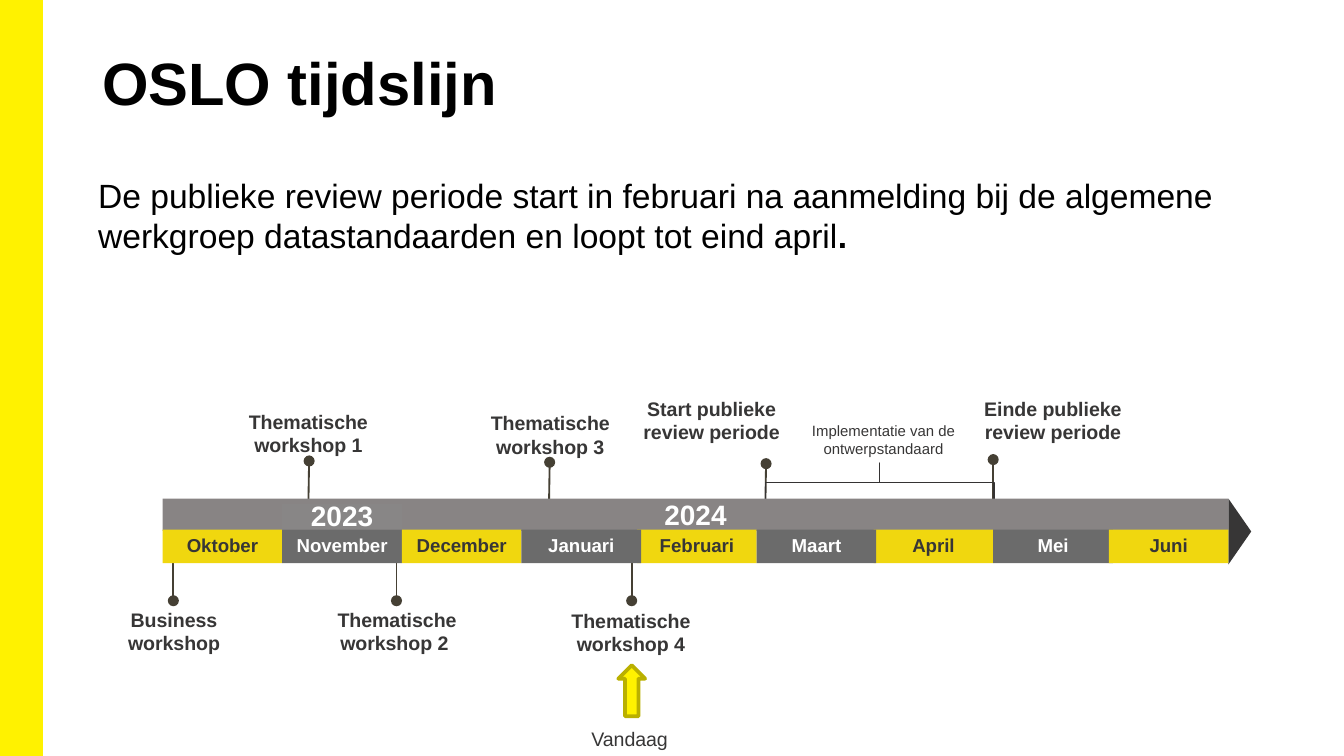
from lxml import etree
from pptx import Presentation
from pptx.dml.color import RGBColor
from pptx.enum.shapes import MSO_CONNECTOR, MSO_SHAPE
from pptx.enum.text import MSO_ANCHOR, PP_ALIGN
from pptx.oxml.ns import qn
from pptx.util import Inches, Pt

RECTANGLE = MSO_SHAPE.RECTANGLE
TRIANGLE = MSO_SHAPE.ISOSCELES_TRIANGLE
BRACE = MSO_SHAPE.LEFT_BRACE
DOWN_ARROW = MSO_SHAPE.DOWN_ARROW
STRAIGHT = MSO_CONNECTOR.STRAIGHT
LEFT, CENTER = PP_ALIGN.LEFT, PP_ALIGN.CENTER
TOP, MIDDLE = MSO_ANCHOR.TOP, MSO_ANCHOR.MIDDLE

BLACK = RGBColor(0x00, 0x00, 0x00)
WHITE = RGBColor(0xFF, 0xFF, 0xFF)
YELLOW = RGBColor(0xFF, 0xF2, 0x00)
OLIVE = RGBColor(0xBA, 0xB0, 0x00)
GOLD = RGBColor(0xF0, 0xD7, 0x0F)
CHARCOAL = RGBColor(0x37, 0x36, 0x36)
BRACE_GRAY = RGBColor(0x35, 0x33, 0x33)
STEM = RGBColor(0x45, 0x40, 0x34)
MONTH_GRAY = RGBColor(0x6B, 0x6B, 0x6B)
BAR_GRAY = RGBColor(0x88, 0x84, 0x84)
YEAR_GRAY = RGBColor(0x88, 0x86, 0x86)

FONT = "Arial"
PAGE_WIDTH = 10
PAGE_HEIGHT = PAGE_WIDTH * 9 / 16
MONTH_WIDTH = 0.89
LABEL_WIDTH = 1.21
MONTH_INSETS = (0.08, 0.08, 0.08, 0.1)

# Month and left edge, from back to front where neighbours overlap
MONTHS = [
    ("Oktober", 0, GOLD), ("November", 0.89, MONTH_GRAY),
    ("December", 1.78, GOLD), ("Februari", 3.53, GOLD),
    ("April", 5.29, GOLD), ("Mei", 6.18, MONTH_GRAY),
    ("Juni", 7.04, GOLD), ("Januari", 2.67, MONTH_GRAY),
    ("Maart", 4.42, MONTH_GRAY),
]

# Label, its left and top, dot position, foot position
EVENTS = [
    ("Thematische workshop 1", (0.48, -0.66), (1.09, -0.28), (1.08, 0.33)),
    ("Thematische workshop 3", (2.28, -0.65), (2.88, -0.27), (2.87, 0.34)),
    ("Start publieke review periode", (3.48, -0.76), (4.49, -0.26), (4.48, 0.35)),
    ("Einde publieke review periode", (6.02, -0.76), (6.18, -0.29), (6.18, 0.4)),
    ("Business workshop", (-0.52, 0.81), (0.08, 0.76), (0.08, 0.48)),
    ("Thematische workshop 2 ", (1.14, 0.81), (1.74, 0.76), (1.74, 0.34)),
    ("Thematische workshop 4", (2.88, 0.82), (3.49, 0.76), (3.49, 0.34)),
]


def write_text(shape, *parts, size, color, align=CENTER, anchor=TOP,
               insets=(0, 0, 0, 0)):
    """Fill the shape with one paragraph of (text, bold) parts."""
    frame = shape.text_frame
    frame.word_wrap = True
    frame.vertical_anchor = anchor
    (frame.margin_left, frame.margin_top,
     frame.margin_right, frame.margin_bottom) = map(Inches, insets)
    para = frame.paragraphs[0]
    para.alignment = align
    for text, bold in parts:
        span = para.add_run()
        span.text = text
        span.font.name = FONT
        span.font.size = Pt(size)
        span.font.bold = bold
        span.font.color.rgb = color


def add_text(page, box, *parts, **text_format):
    shape = page.shapes.add_textbox(*map(Inches, box))
    write_text(shape, *parts, **text_format)


def add_figure(page, kind, box, fill=None, line=None, line_width=1):
    shape = page.shapes.add_shape(kind, *map(Inches, box))
    shape.shadow.inherit = False
    if fill is None:
        shape.fill.background()
    else:
        shape.fill.solid()
        shape.fill.fore_color.rgb = fill
    if line is None:
        shape.line.fill.background()
    else:
        shape.line.color.rgb = line
        shape.line.width = Pt(line_width)
    return shape


def add_stem(page, dot, foot):
    """Draw a line with a round dot at its first end."""
    stem = page.shapes.add_connector(STRAIGHT, *map(Inches, dot + foot))
    stem.line.color.rgb = STEM
    stem.line.width = Pt(1)
    outline = stem._element.spPr.find(qn("a:ln"))
    etree.SubElement(outline, qn("a:headEnd"), type="oval")
    etree.SubElement(stem._element.spPr, qn("a:effectLst"))


def add_heading(page, left, top, width):
    insets = (0.07, 0.04, 0.07, 0.04)
    add_text(page, (left + 0.03, top, width, 0.81), ("OSLO tijdslijn", True),
             size=32, color=BLACK, align=LEFT, insets=insets)
    add_text(page, (left, top + 0.96, width, 0.81),
             ("De publieke review periode start in februari na aanmelding bij "
              "de algemene werkgroep datastandaarden en loopt tot eind april",
              False), (".", True),
             size=18, color=BLACK, align=LEFT, insets=insets)


def add_timeline(page, left, top, width):
    def at(x, y, *size):
        return (left + x, top + y, *size)

    for label, place, dot, foot in EVENTS:
        add_stem(page, at(*dot), at(*foot))
        add_text(page, at(*place, LABEL_WIDTH, 0.42), (label, True),
                 size=10.5, color=CHARCOAL)

    brace = add_figure(page, BRACE, at(5.19, -0.97, 0.29, 1.7),
                       line=BRACE_GRAY, line_width=0.75)
    brace.rotation = 90
    brace.adjustments[0] = 0
    brace.adjustments[1] = 0.5
    add_text(page, at(4.7, -0.57, 1.33, 0.42),
             ("Implementatie van de ontwerpstandaard", False),
             size=8, color=CHARCOAL)

    tip = add_figure(page, TRIANGLE, at(width - 0.16, 0.16, 0.49, 0.17), CHARCOAL)
    tip.rotation = 90
    bar = add_figure(page, RECTANGLE, at(0, 0, width, 0.24), BAR_GRAY)
    write_text(bar, ("2024", True), size=15, color=WHITE, anchor=MIDDLE)
    for month, x, fill in MONTHS:
        cell = add_figure(page, RECTANGLE, at(x, 0.23, MONTH_WIDTH, 0.25), fill)
        write_text(cell, (month, True), size=10, anchor=MIDDLE,
                   color=CHARCOAL if fill == GOLD else WHITE, insets=MONTH_INSETS)
    year = add_figure(page, RECTANGLE, at(0.89, 0.04, MONTH_WIDTH, 0.19), YEAR_GRAY)
    write_text(year, ("2023", True), size=15, color=WHITE, anchor=MIDDLE,
               insets=MONTH_INSETS)

    arrow = add_figure(page, DOWN_ARROW, at(3.39, 1.24, 0.2, 0.38), YELLOW, OLIVE, 2)
    arrow.rotation = 180
    add_text(page, at(2.87, 1.7, LABEL_WIDTH, 0.26), ("Vandaag", False),
             size=10.5, color=CHARCOAL)


def main():
    deck = Presentation()
    deck.slide_width, deck.slide_height = Inches(PAGE_WIDTH), Inches(PAGE_HEIGHT)
    page = deck.slides.add_slide(deck.slide_layouts[6])
    add_figure(page, RECTANGLE, (0, 0, 0.31, PAGE_HEIGHT), YELLOW, YELLOW)
    add_heading(page, 0.66, 0.3, 8.62)
    add_timeline(page, 1.21, 3.71, 7.93)
    deck.save("out.pptx")


if __name__ == "__main__":
    main()
